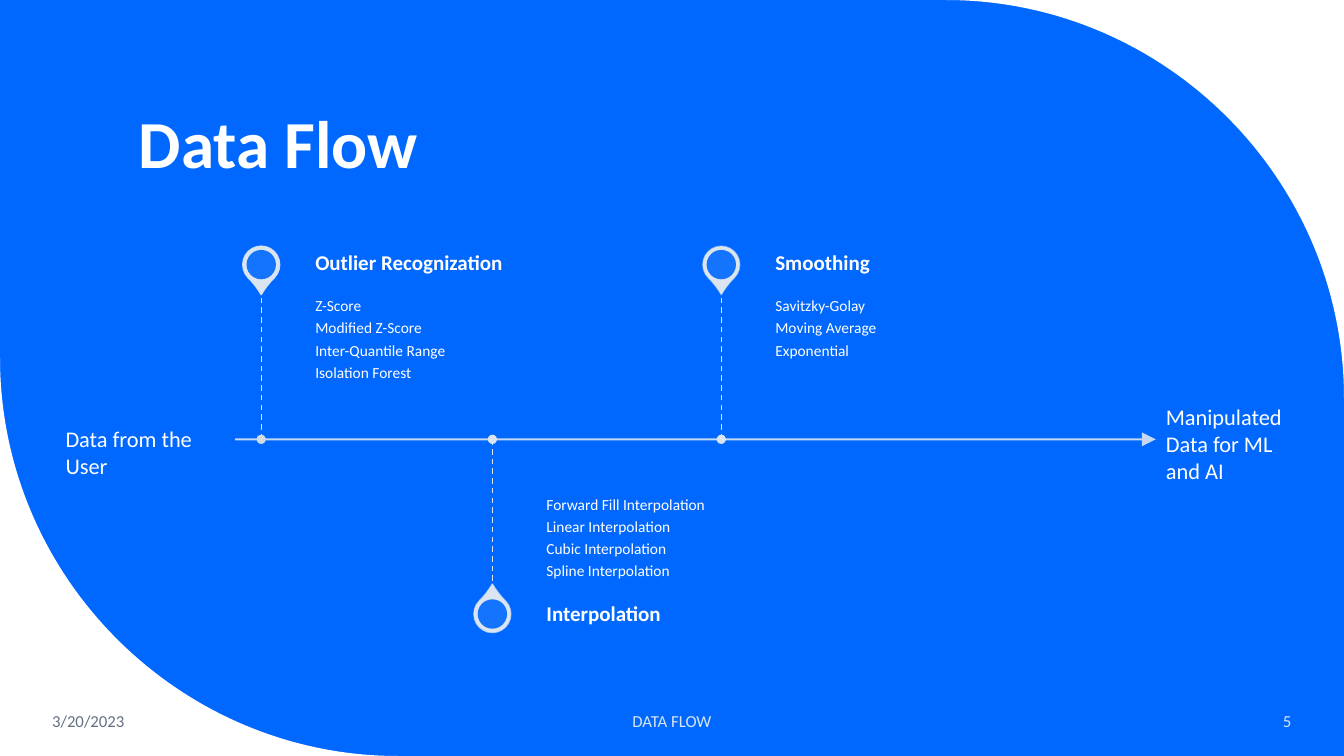
"""Build the data flow timeline slide on a grid of 160 columns by 90 rows."""
from lxml.etree import SubElement
from pptx import Presentation
from pptx.dml.color import RGBColor
from pptx.enum.dml import MSO_LINE
from pptx.enum.shapes import MSO_CONNECTOR, MSO_SHAPE
from pptx.enum.text import MSO_ANCHOR, MSO_AUTO_SIZE, PP_ALIGN
from pptx.oxml.ns import qn
from pptx.util import Inches, Pt

BLUE = RGBColor(0x00, 0x68, 0xFF)
WHITE = RGBColor(0xFF, 0xFF, 0xFF)
PALE = RGBColor(0xDA, 0xE5, 0xEF)
MIST = RGBColor(0xD0, 0xDB, 0xE4)
SLATE = RGBColor(0x63, 0x71, 0x83)

AXIS = 52.3
STEM, HEAD, PIN = 17.75, 6.2, 20.8
CURVE, BEND = 47.4, 0.45

STEPS = [
    (31.1, "Outlier Recognization", -1, 90, MIST,
     ["Z-Score", "Modified Z-Score", "Inter-Quantile Range", "Isolation Forest"]),
    (58.62, "Interpolation", 1, 70, PALE,
     ["Forward Fill Interpolation", "Linear Interpolation",
      "Cubic Interpolation", "Spline Interpolation"]),
    (85.87, "Smoothing", -1, 50, PALE,
     ["Savitzky-Golay", "Moving Average", "Exponential"]),
]


def grid(*cells):
    """Turn grid cells into slide lengths."""
    return [Inches(cell / 12) for cell in cells]


def fade(node, share):
    """Set the opacity of the colours below a node, in percent."""
    for color in list(node.iter(qn("a:srgbClr"))):
        SubElement(color, qn("a:alpha"), val=str(share * 1000))


def text(slide, box, lines, size, color=WHITE, bold=False, align=PP_ALIGN.LEFT,
         anchor=MSO_ANCHOR.TOP, pad=(1.2, 0.6, 1.2, 0.6), lead=None, after=0,
         grow=False):
    """Add a text box with one paragraph per line."""
    frame = slide.shapes.add_textbox(*grid(*box)).text_frame
    frame.word_wrap = True
    frame.auto_size = MSO_AUTO_SIZE.SHAPE_TO_FIT_TEXT if grow else MSO_AUTO_SIZE.NONE
    frame.vertical_anchor = anchor
    (frame.margin_left, frame.margin_top,
     frame.margin_right, frame.margin_bottom) = grid(*pad)
    for index, line in enumerate(lines):
        para = frame.add_paragraph() if index else frame.paragraphs[0]
        para.text = line
        para.alignment = align
        para.line_spacing = lead
        para.space_after = Pt(after)
        font = para.font
        font.name, font.size, font.bold = "Calibri", Pt(size), bold
        font.color.rgb = color


def paint(shape, color):
    """Give a shape a plain fill without outline or shadow."""
    shape.shadow.inherit = False
    shape.fill.solid()
    shape.fill.fore_color.rgb = color
    shape.line.fill.background()


def disc(slide, x, y, size, color, kind=MSO_SHAPE.OVAL):
    """Add a filled shape centred on a point."""
    shape = slide.shapes.add_shape(
        kind, *grid(x - size / 2, y - size / 2, size, size))
    paint(shape, color)
    return shape


def rule(slide, start, end, width):
    """Add a pale straight line and return it."""
    line = slide.shapes.add_connector(
        MSO_CONNECTOR.STRAIGHT, *grid(*start, *end))
    line.line.color.rgb = PALE
    line.line.width = Pt(width)
    SubElement(line._element.spPr, qn("a:effectLst"))
    return line


def corner(slide, x, y, way):
    """Cut a rounded white corner; way is the sign of the step inward."""
    reach = way * CURVE
    points = [(x + reach, y), (x + reach * BEND, y),
              (x, y - reach * BEND), (x, y - reach)]
    path = slide.shapes.build_freeform(*grid(x, y))
    path.add_line_segments([grid(*point) for point in points], close=True)
    shape = path.convert_to_shape()
    paint(shape, WHITE)
    lines = list(shape._element.iter(qn("a:lnTo")))[1:4]
    curve = lines[0].makeelement(qn("a:cubicBezTo"))
    lines[0].addprevious(curve)
    for line in lines:
        curve.append(line[0])
        line.getparent().remove(line)


def flow(slide):
    """Draw the main arrow."""
    line = rule(slide, (28, AXIS), (137.6, AXIS), 1.5)
    edge = line._element.spPr.find(qn("a:ln"))
    fade(edge, 90)
    SubElement(edge, qn("a:tailEnd"), type="triangle", w="lg", len="lg")


def step(slide, x, name, side, share, color, items):
    """Draw one pin with its stem, heading and list, above or below the axis."""
    above = side < 0
    drop = disc(slide, x, AXIS + side * PIN, 4.4, PALE, MSO_SHAPE.TEAR)
    drop.adjustments[0] = 1.15
    drop.rotation = 135 if above else 315
    drop.line.color.rgb = PALE
    drop.line.width = Pt(1)
    fade(drop._element.spPr.find(qn("a:ln")), share)
    hole = disc(slide, x, AXIS + side * PIN, 3.5, BLUE)
    fade(hole._element.spPr, 90)
    left = x + 6.43
    text(slide, (left, AXIS - STEM if above else AXIS, 39, STEM), items, 11,
         anchor=MSO_ANCHOR.TOP if above else MSO_ANCHOR.BOTTOM,
         pad=(0, 1, 1, 1.3) if above else (0, 1.3, 0, 1), lead=0.9, after=3.85)
    top = AXIS - STEM - HEAD if above else AXIS + STEM
    text(slide, (left, top, 39, HEAD), [name], 15, bold=True,
         anchor=MSO_ANCHOR.MIDDLE, pad=(0, 0, 1.2, 0), lead=0.9)
    stem = rule(slide, (x, AXIS), (x, AXIS + side * STEM), 1)
    stem.line.dash_style = MSO_LINE.DASH
    disc(slide, x, AXIS, 1.1, color)


def main():
    """Build and save the slide."""
    deck = Presentation()
    deck.slide_width, deck.slide_height = grid(160, 90)
    slide = deck.slides.add_slide(deck.slide_layouts[6])
    slide.background.fill.solid()
    slide.background.fill.fore_color.rgb = BLUE

    corner(slide, 160, 0, -1)
    corner(slide, 0, 90, 1)
    text(slide, (15.33, 5, 128.3, 17.4), ["Data Flow"], 48, bold=True,
         anchor=MSO_ANCHOR.BOTTOM, lead=0.9)
    flow(slide)
    for part in STEPS:
        step(slide, *part)

    foot = [
        (5, 22.3, "3/20/2023", SLATE, PP_ALIGN.LEFT),
        (53, 54, "DATA FLOW", PALE, PP_ALIGN.CENTER),
        (133.2, 21.75, "5", PALE, PP_ALIGN.RIGHT),
    ]
    for left, width, words, color, align in foot:
        text(slide, (left, 83.4, width, 4.8), [words], 12, color,
             align=align, anchor=MSO_ANCHOR.MIDDLE)
    text(slide, (6.6, 50, 22.4, 7.7), ["Data from the User"], 16, grow=True)
    text(slide, (137.6, 47.4, 20, 10.9),
         ["Manipulated", "Data for ML", "and AI"], 16, grow=True)
    deck.save("out.pptx")


if __name__ == "__main__":
    main()
